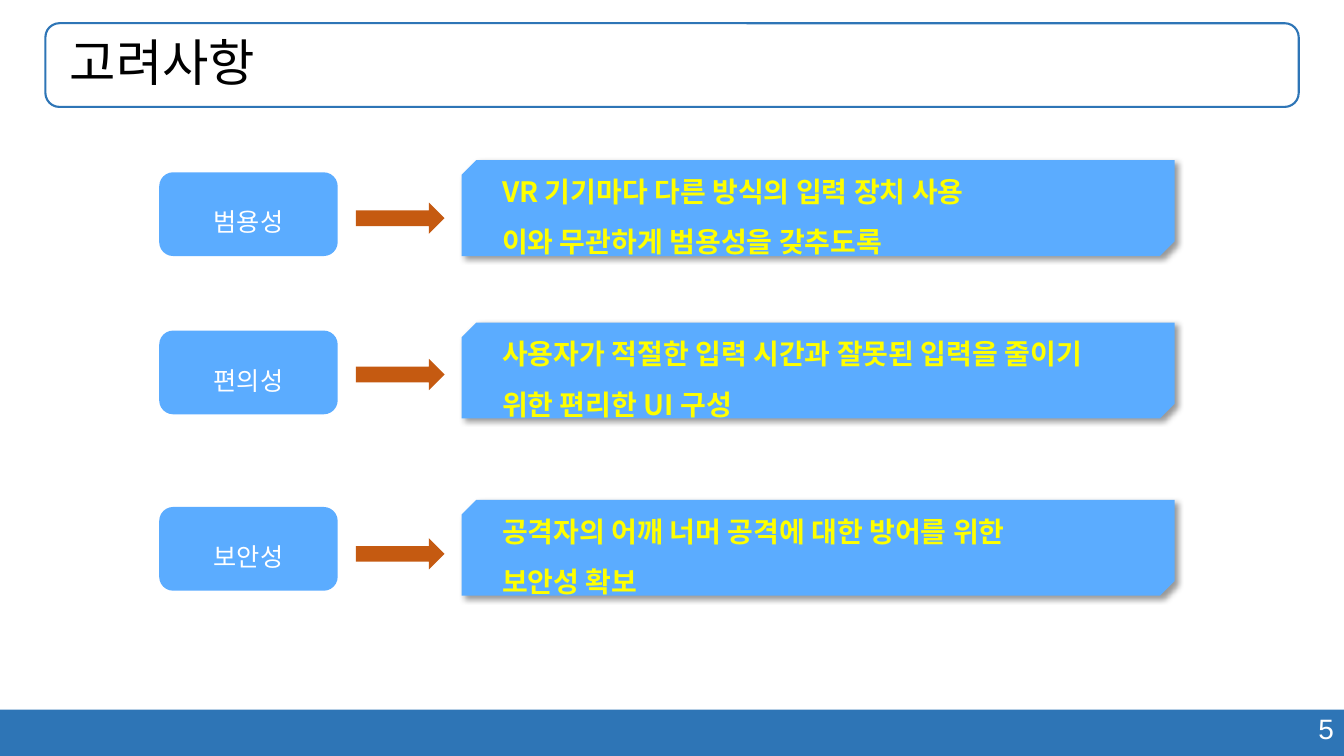
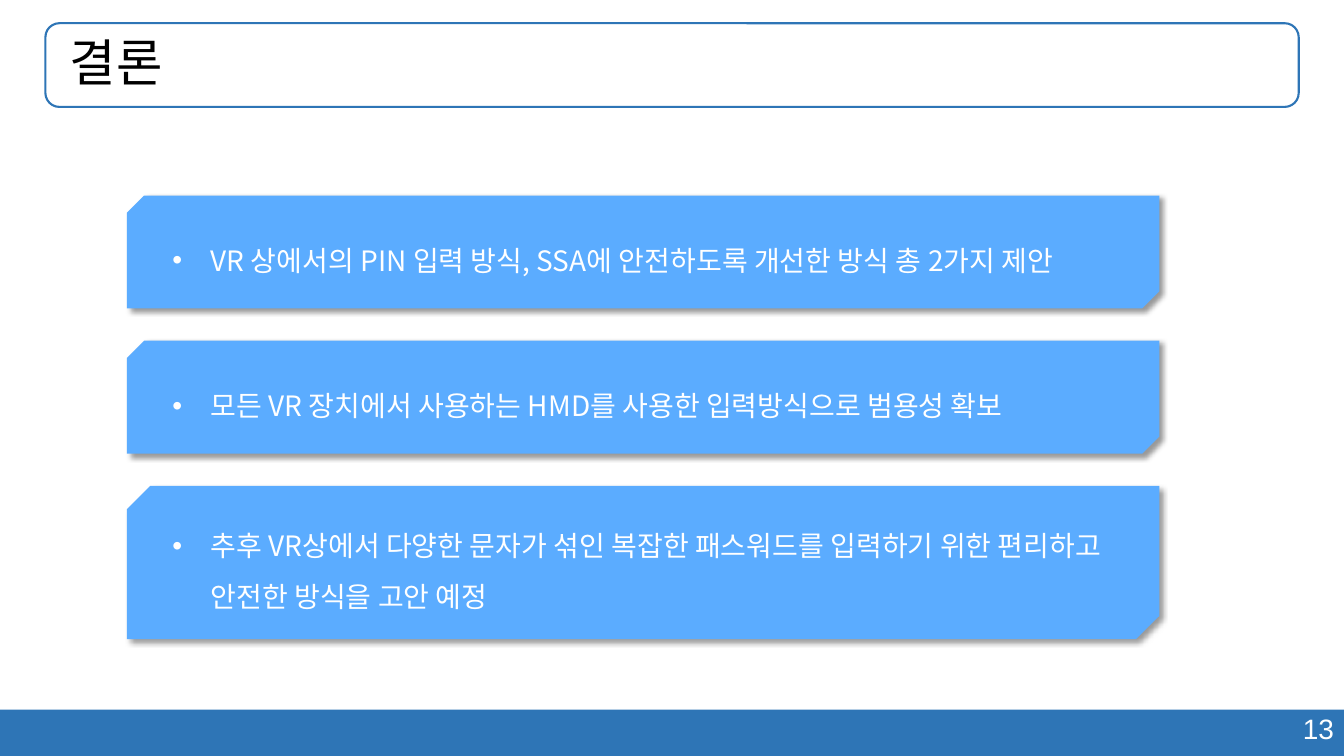
import pptx
import pptx.util
import pptx.oxml
import pptx.oxml.ns
import pptx.dml.color
import pptx.enum.shapes
import pptx.enum.text

Inches, Pt = pptx.util.Inches, pptx.util.Pt
qn = pptx.oxml.ns.qn
KIND = pptx.enum.shapes.MSO_SHAPE
ALIGN = pptx.enum.text.PP_ALIGN
ANCHOR = pptx.enum.text.MSO_ANCHOR

COLORS = {"band": "2E75B6", "card": "5BACFF", "arrow": "C55A11",
          "white": "FFFFFF", "black": "000000", "yellow": "FFFF00"}
KOREAN = "Noto Sans CJK KR"
PAGE = (0, 0, 13.33, 7.5)
SNIP = 0.152


def rgb(name):
    return pptx.dml.color.RGBColor.from_string(COLORS[name])


def part(box, left, top, width, height):
    """Return the box that covers the given percentages of another box."""
    x, y, w, h = box
    return (x + w * left / 100, y + h * top / 100,
            w * width / 100, h * height / 100)


def add_shape(slide, kind, box, fill=None, line=None):
    shape = slide.shapes.add_shape(kind, *map(Inches, box))
    shape.shadow.inherit = False
    if fill:
        shape.fill.solid()
        shape.fill.fore_color.rgb = rgb(fill)
    else:
        shape.fill.background()
    if line:
        shape.line.color.rgb = rgb(line)
        shape.line.width = Pt(1.5)
    else:
        shape.line.fill.background()
    return shape


def add_bullet(para, indent=0.38):
    props = para._p.get_or_add_pPr()
    props.set("marL", str(Inches(indent)))
    props.set("indent", str(-Inches(indent)))
    font = props.makeelement(qn("a:buFont"), {"typeface": "Arial"})
    char = props.makeelement(qn("a:buChar"), {"char": "•"})
    props.extend([font, char])


def write(shape, lines, size=20, color="white", font="Arial", bold=False,
          align=ALIGN.LEFT, anchor=ANCHOR.MIDDLE, space=1.5, bullet=False,
          inset=(0.1, 0.05, 0.1, 0.05)):
    """Write lines as paragraphs; inset is left, top, right, bottom."""
    frame = shape.text_frame
    frame.word_wrap = True
    frame.vertical_anchor = anchor
    (frame.margin_left, frame.margin_top,
     frame.margin_right, frame.margin_bottom) = map(Inches, inset)
    for index, line in enumerate(lines):
        para = frame.add_paragraph() if index else frame.paragraphs[0]
        if bullet:
            add_bullet(para)
        para.alignment = align
        para.line_spacing = space
        run = para.add_run()
        run.text = line
        run.font.size = Pt(size)
        run.font.bold = bold
        run.font.color.rgb = rgb(color)
        run.font.name = font
        props = run.font._element
        props.find(qn("a:latin")).addnext(
            props.makeelement(qn("a:ea"), {"typeface": KOREAN}))


def cast_shadow(shape):
    effects = shape._element.spPr.find(qn("a:effectLst"))
    effects.append(pptx.oxml.parse_xml(
        '<a:outerShdw xmlns:a="http://schemas.openxmlformats.org/drawingml/2006/main"'
        f' blurRad="{Pt(4)}" dist="{Pt(3)}" dir="2700000" algn="tl"'
        f' rotWithShape="0"><a:srgbClr val="{COLORS["black"]}">'
        '<a:alpha val="40000"/></a:srgbClr></a:outerShdw>'))


def add_card(slide, box, lines, left, right, **style):
    """Draw a snipped card; left and right are the text's distances to its edges."""
    card = add_shape(slide, KIND.SNIP_2_DIAG_RECTANGLE, box, fill="card")
    card.adjustments[0], card.adjustments[1] = SNIP, 0
    cast_shadow(card)
    cut = SNIP * min(box[2:]) / 2
    write(card, lines, font=KOREAN, inset=(left - cut, 0, right - cut, 0), **style)


def add_page(deck, title, number):
    slide = deck.slides.add_slide(deck.slide_layouts[5])
    band = add_shape(slide, KIND.RECTANGLE, part(PAGE, 0, 93.87, 100, 6.13), fill="band")
    write(band, [number], align=ALIGN.RIGHT, anchor=ANCHOR.TOP, space=1,
          inset=(0.1, 0.02, 0.1, 0))
    head = part(PAGE, 3.38, 3.07, 93.25, 11.07)
    add_shape(slide, KIND.ROUNDED_RECTANGLE, head, line="band")
    name = slide.shapes.title
    name.left, name.top, name.width, name.height = map(Inches, head)
    write(name, [title], size=36, color="black", space=0.9,
          inset=(0.24, 0.05, 0.1, 0.05))
    return slide


def add_goal(slide, box, label, lines, tag_top, arrow_top):
    """Place a label, an arrow and a card side by side in one row."""
    tag = add_shape(slide, KIND.ROUNDED_RECTANGLE,
                    part(box, 0, tag_top, 17.58, 87.4), fill="card")
    write(tag, [label], size=18, align=ALIGN.CENTER)
    add_shape(slide, KIND.RIGHT_ARROW,
              part(box, 19.36, arrow_top, 8.74, 32.6), fill="arrow")
    add_card(slide, part(box, 29.79, 0, 70.21, 100), lines, 0.4, 0.36,
             color="yellow", bold=True)


def build_goals(deck):
    slide = add_page(deck, "고려사항", "5")
    goals = [
        (21.2, "범용성", ["VR 기기마다 다른 방식의 입력 장치 사용",
                       "이와 무관하게 범용성을 갖추도록"], 12.6, 44.2),
        (42.67, "편의성", ["사용자가 적절한 입력 시간과 잘못된 입력을 줄이기 "
                        "위한 편리한 UI 구성"], 8.4, 37.9),
        (66.13, "보안성", ["공격자의 어깨 너머 공격에 대한 방어를 위한",
                        "보안성 확보"], 7.4, 40),
    ]
    for top, *goal in goals:
        add_goal(slide, part(PAGE, 11.85, top, 75.54, 12.67), *goal)


def build_close(deck):
    slide = add_page(deck, "결론", "13")
    points = [
        (14.93, "VR 상에서의 PIN 입력 방식, SSA에 안전하도록 개선한 방식 총 2가지 제안"),
        (14.93, "모든 VR 장치에서 사용하는 HMD를 사용한 입력방식으로 범용성 확보"),
        (20.27, "추후 VR상에서 다양한 문자가 섞인 복잡한 패스워드를 입력하기 위한 "
                "편리하고 안전한 방식을 고안 예정"),
    ]
    for row, (height, point) in enumerate(points):
        box = part(PAGE, 9.45, 25.87 + 19.2 * row, 76.82, height)
        add_card(slide, box, [point], 0.45, 0.4, bullet=True)


def main():
    deck = pptx.Presentation()
    deck.slide_width, deck.slide_height = map(Inches, PAGE[2:])
    build_goals(deck)
    build_close(deck)
    deck.save("out.pptx")


if __name__ == "__main__":
    main()
